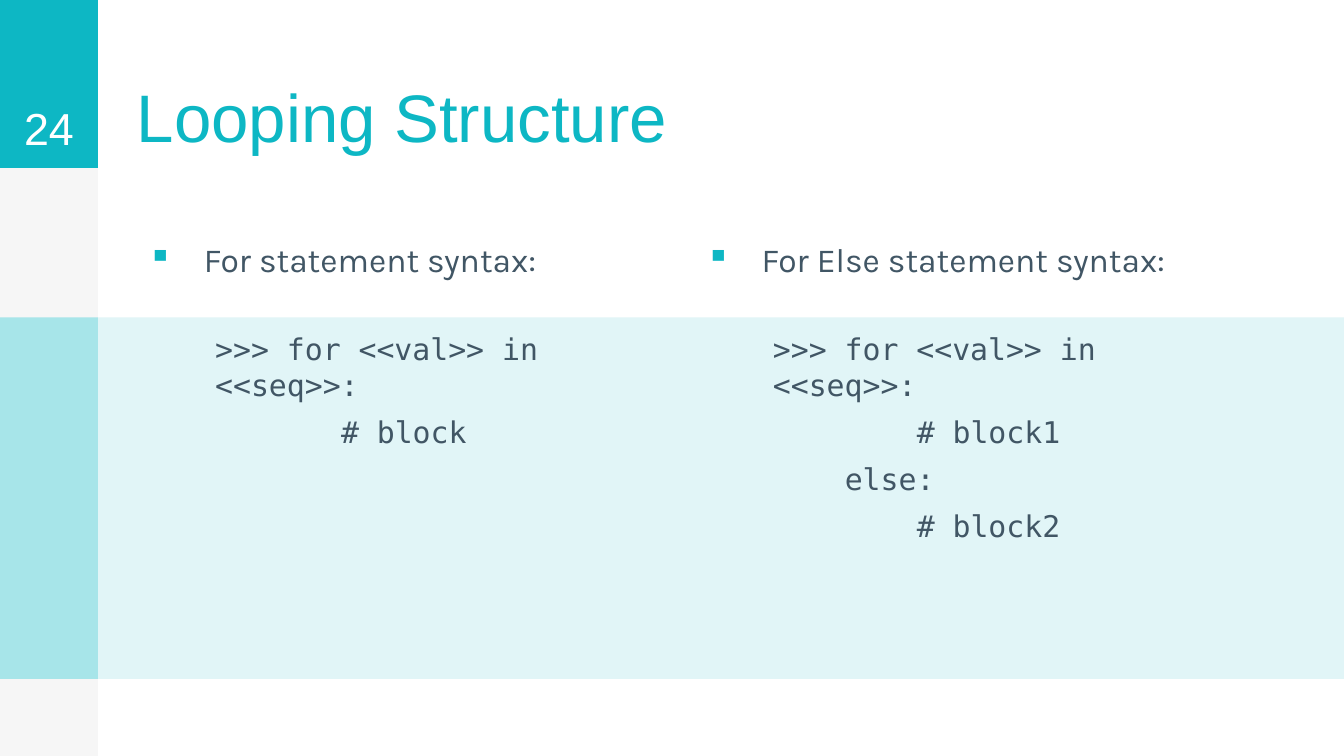
"""Build the looping structure slide with its two syntax columns."""
from dataclasses import dataclass

from lxml.etree import SubElement
from pptx import Presentation
from pptx.dml.color import RGBColor
from pptx.enum.shapes import MSO_SHAPE
from pptx.enum.text import MSO_ANCHOR, PP_ALIGN
from pptx.oxml.ns import qn
from pptx.slide import Slide
from pptx.text.text import TextFrame, _Paragraph
from pptx.util import Pt

WIDTH, HEIGHT = 720, 405
SIDEBAR = 52.5
HEADER = 90
BAND_TOP, BAND_HEIGHT = 170, 193.7
COLUMN_TOP, COLUMN_WIDTH, COLUMN_HEIGHT = 121, 300, 267
TITLE_LEFT = 66.2
INSET = 7.2
CODE_SIZE = 16
CODE_MARGIN = 42
CHARACTER_WIDTH = 0.602 * CODE_SIZE
TEAL, SLATE, WHITE = "0DB7C4", "415665", "FFFFFF"


@dataclass(frozen=True)
class Box:
    """A rectangle in points."""
    left: float
    top: float
    width: float
    height: float

    def lengths(self) -> tuple[Pt, ...]:
        """Return the four lengths as Pt values."""
        return tuple(Pt(v) for v in (self.left, self.top, self.width, self.height))


@dataclass(frozen=True)
class Style:
    """Font name, size and colour of a text."""
    font: str
    size: float
    color: str


@dataclass(frozen=True)
class CodeLine:
    """A line of code and its indent in characters."""
    text: str
    indent: int = 0


@dataclass(frozen=True)
class SyntaxColumn:
    """A heading above its lines of code."""
    left: float
    heading: str
    code: tuple[CodeLine, ...]


LOOP_LINE = CodeLine(">>> for <<val>> in <<seq>>:")
COLUMNS = (
    SyntaxColumn(66.2, "For statement syntax:", (LOOP_LINE, CodeLine("# block", 7))),
    SyntaxColumn(365, "For Else statement syntax:", (
        LOOP_LINE, CodeLine("# block1", 8), CodeLine("else:", 4), CodeLine("# block2", 8))),
)
HEADING_STYLE = Style("Karla", 18, SLATE)
CODE_STYLE = Style("DejaVu Sans Mono", CODE_SIZE, SLATE)


def rgb(color: str) -> RGBColor:
    """Turn a hex string into a colour."""
    return RGBColor.from_string(color)


def add_block(slide: Slide, box: Box, color: str) -> None:
    """Draw a plain filled rectangle."""
    block = slide.shapes.add_shape(MSO_SHAPE.RECTANGLE, *box.lengths())
    block.shadow.inherit = False
    block.fill.solid()
    block.fill.fore_color.rgb = rgb(color)
    block.line.fill.background()


def add_text(slide: Slide, box: Box, text: str, style: Style,
             anchor: MSO_ANCHOR = MSO_ANCHOR.TOP) -> TextFrame:
    """Add a wrapped text box and return its text frame."""
    frame = slide.shapes.add_textbox(*box.lengths()).text_frame
    frame.word_wrap = True
    frame.vertical_anchor = anchor
    frame.margin_left = frame.margin_right = Pt(INSET)
    frame.margin_top = frame.margin_bottom = Pt(INSET)
    frame.text = text
    for paragraph in frame.paragraphs:
        for run in paragraph.runs:
            run.font.name = style.font
            run.font.size = Pt(style.size)
            run.font.color.rgb = rgb(style.color)
    return frame


def set_indent(paragraph: _Paragraph, margin: float, first_line: float = 0) -> None:
    """Set the left margin, first line indent and space before."""
    paragraph.space_before = Pt(6)
    properties = paragraph._p.get_or_add_pPr()
    properties.set("marL", str(int(Pt(margin))))
    properties.set("indent", str(int(Pt(first_line))))


def add_bullet(paragraph: _Paragraph, character: str, color: str) -> None:
    """Give a paragraph a coloured bullet."""
    properties = paragraph._p.get_or_add_pPr()
    bullet_color = SubElement(properties, qn("a:buClr"))
    SubElement(bullet_color, qn("a:srgbClr"), val=color)
    SubElement(properties, qn("a:buChar"), char=character)


def add_column(slide: Slide, column: SyntaxColumn) -> None:
    """Add the heading and code of one column."""
    heading_box = Box(column.left, COLUMN_TOP, COLUMN_WIDTH, COLUMN_HEIGHT)
    heading = add_text(slide, heading_box, column.heading, HEADING_STYLE).paragraphs[0]
    set_indent(heading, 36, -30)
    add_bullet(heading, "▪", TEAL)

    code_box = Box(column.left, BAND_TOP, COLUMN_WIDTH, BAND_HEIGHT)
    code_text = "\n".join(line.text for line in column.code)
    code = add_text(slide, code_box, code_text, CODE_STYLE)
    for paragraph, line in zip(code.paragraphs, column.code):
        paragraph.level = 1
        set_indent(paragraph, CODE_MARGIN + line.indent * CHARACTER_WIDTH)


def main() -> None:
    """Build and save the slide."""
    presentation = Presentation()
    presentation.slide_width, presentation.slide_height = Pt(WIDTH), Pt(HEIGHT)
    slide = presentation.slides.add_slide(presentation.slide_layouts[6])

    add_block(slide, Box(0, 0, SIDEBAR, HEIGHT), "F6F6F6")
    add_block(slide, Box(0, 0, SIDEBAR, HEADER), TEAL)
    add_block(slide, Box(SIDEBAR, BAND_TOP, WIDTH - SIDEBAR, BAND_HEIGHT), "E1F5F7")
    add_block(slide, Box(0, BAND_TOP, SIDEBAR, BAND_HEIGHT), "A7E5E9")

    add_text(slide, Box(TITLE_LEFT, 0.7, 600, HEADER), "Looping Structure",
             Style("Arial", 36, TEAL), MSO_ANCHOR.BOTTOM)
    page_number = add_text(slide, Box(0, 0, SIDEBAR, HEADER), "24",
                           Style("Arial", 24, WHITE), MSO_ANCHOR.BOTTOM)
    page_number.paragraphs[0].alignment = PP_ALIGN.CENTER
    for column in COLUMNS:
        add_column(slide, column)

    presentation.save("out.pptx")


if __name__ == "__main__":
    main()
